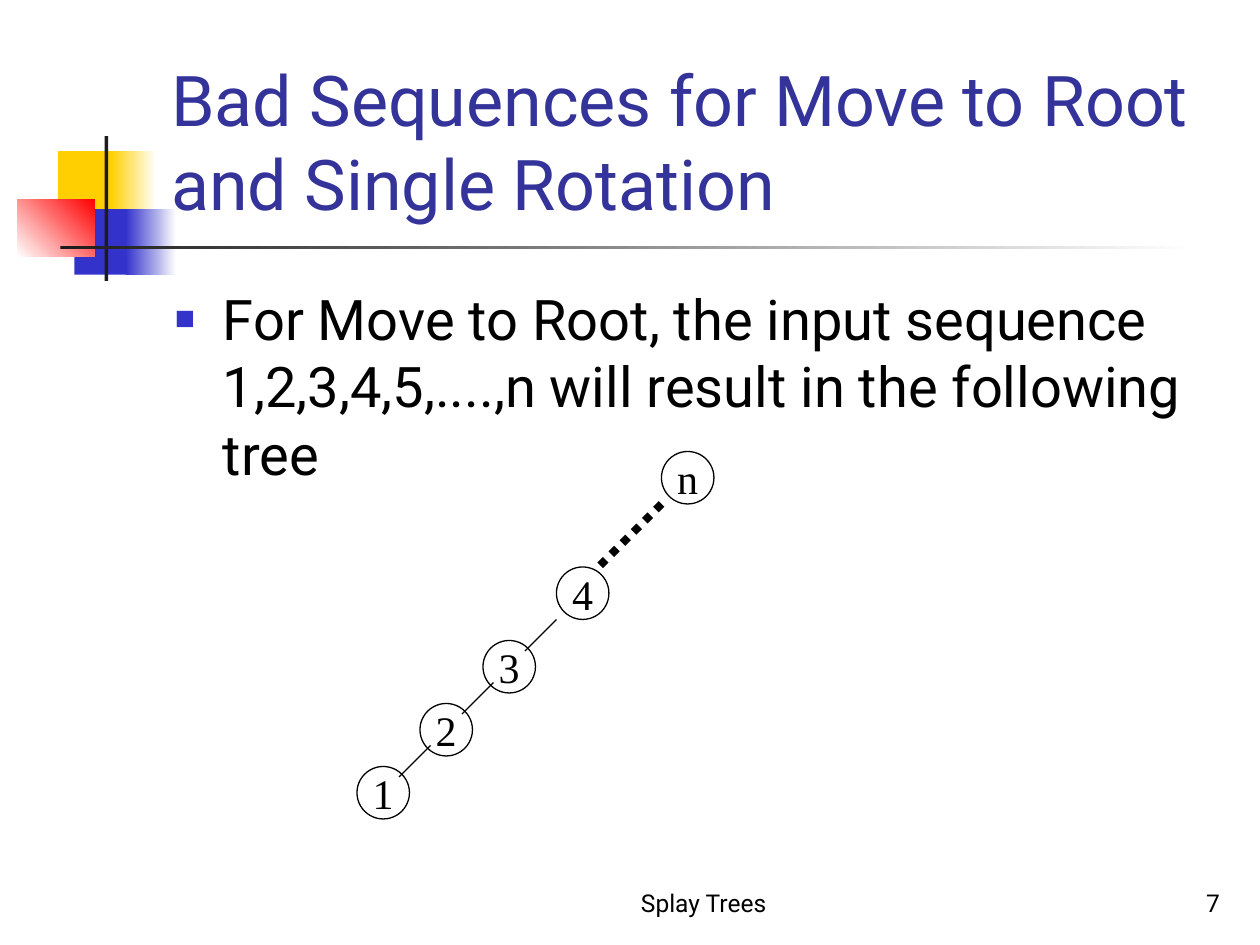
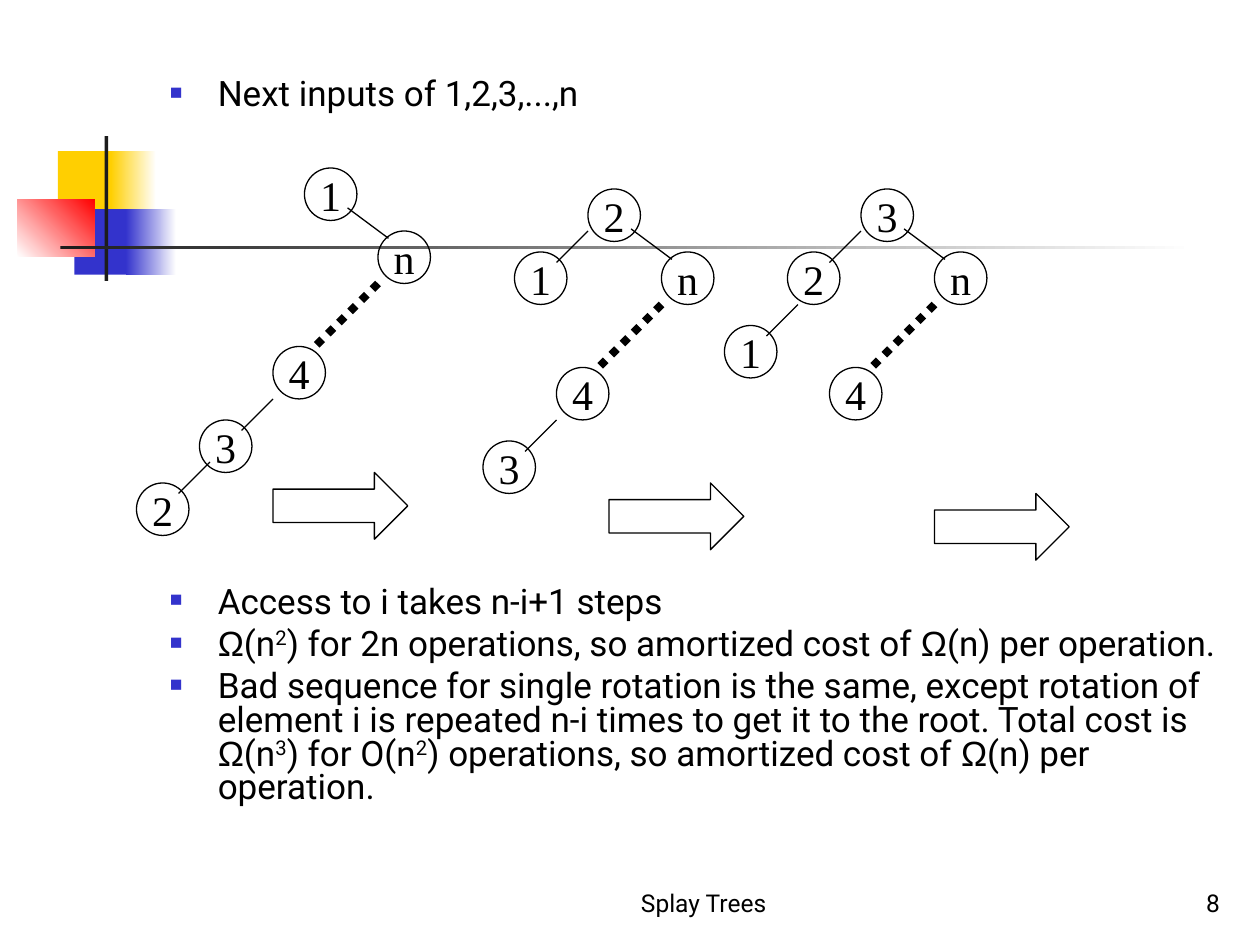
from pptx import Presentation
from pptx.dml.color import RGBColor
from pptx.enum.dml import MSO_LINE
from pptx.enum.shapes import MSO_CONNECTOR, MSO_SHAPE
from pptx.enum.text import MSO_ANCHOR, MSO_AUTO_SIZE, PP_ALIGN
from pptx.oxml.ns import qn
from pptx.util import Inches, Pt
from lxml import etree

RECT, OVAL, ARROW = MSO_SHAPE.RECTANGLE, MSO_SHAPE.OVAL, MSO_SHAPE.RIGHT_ARROW
LINE, DOT = MSO_CONNECTOR.STRAIGHT, MSO_LINE.ROUND_DOT
LEFT, MID, RIGHT = PP_ALIGN.LEFT, PP_ALIGN.CENTER, PP_ALIGN.RIGHT
LOW, HALF, TOP = MSO_ANCHOR.BOTTOM, MSO_ANCHOR.MIDDLE, MSO_ANCHOR.TOP
FIXED = MSO_AUTO_SIZE.NONE

# Content: a text is a list of runs, "^" marks a superscript.
# A tree has the place of node n, the path below n, and the path
# from the root (right child n) down to the left.
FOOT = "Splay Trees"
SLIDES = [
    {
        "num": 7,
        "title": "Bad Sequences for Move to Root and Single Rotation",
        "box": (1.29, 2.21, 8.5, 4.5),
        "style": "large",
        "text": [["For Move to Root, the input sequence 1,2,3,4,5,....,n "
                  "will result in the following tree"]],
        "gaps": {},
        "trees": [((63, 43), "4321", "")],
        "arrows": [],
    },
    {
        "num": 8,
        "title": None,
        "box": (1.25, 0.58, 8.75, 6.42),
        "style": "small",
        "text": [
            ["Next inputs of 1,2,3,...,n"],
            ["Access to i takes n-i+1 steps"],
            ["Ω", "(n", "^2", ") for 2n operations, so amortized cost of ",
             "Ω", "(n) per operation."],
            ["Bad sequence for single rotation is the same, except rotation "
             "of element i is repeated n-i times to get it to the root. "
             "Total cost is ", "Ω", "(n", "^3", ") for O(n", "^2",
             ") operations, so amortized cost of ", "Ω",
             "(n) per operation."],
        ],
        "gaps": {1: 271},  # room for the trees
        "trees": [((36, 22), "432", "1"), ((63, 24), "43", "21"),
                  ((89, 24), "4", "321")],
        "arrows": [(26, 45), (58, 46), (89, 47)],
    },
]

# Theme
THEME = {
    "black": "000000", "title": "333399", "blue": "3333CC", "gold": "FFCF01",
    "red": "FF0000", "dark": "1C1C1C", "white": "FFFFFF",
    "font": "Roboto", "greek": "Arial", "serif": "Times New Roman",
    "head": 40, "foot": 14, "node": 24, "thin": 0.75, "thick": 4.5,
    "large": {"size": 32, "gap": 8, "lead": 1.0},
    "small": {"size": 20, "gap": 5, "lead": 0.8},
}

# Band: place, first colour, second colour, angle
BAND = [
    ((0.46, 1.2, 0.48, 0.52), "gold", None, 0),
    ((0.88, 1.2, 0.36, 0.52), "gold", "white", 0),
    ((0.59, 1.66, 0.46, 0.52), "blue", None, 0),
    ((1, 1.66, 0.4, 0.52), "blue", "white", 0),
    ((0.14, 1.58, 0.61, 0.46), "white", "red", 45),
    ((0.83, 1.08, 0.03, 1.15), "dark", None, 0),
    ((0.48, 1.95, 9, 0.03), "dark", "white", 0),
]

# Tree grid: cells of a twelfth of an inch, offsets from node n
CELL = 1 / 12
NODE = 5
DOWN = [(-10, 11), (-17, 18), (-23, 24), (-29, 30)]
UP = [(-7, -6), (-14, 0), (-20, 7)]


def rgb(name):
    return RGBColor.from_string(THEME[name])


def put(obj, **vals):
    for key, val in vals.items():
        setattr(obj, key, val)


def add(pos, step):
    return pos[0] + step[0], pos[1] + step[1]


def write(para, text, size, face="font", tint="black"):
    run = para.add_run()
    run.text = text
    put(run.font, name=THEME[face], size=Pt(size))
    run.font.color.rgb = rgb(tint)
    return run


def frame(shape, anchor, wrap=True):
    put(shape.text_frame, word_wrap=wrap, auto_size=FIXED,
        vertical_anchor=anchor, margin_left=Inches(0.1),
        margin_right=Inches(0.1), margin_top=Inches(0.05),
        margin_bottom=Inches(0.05))
    return shape.text_frame


def box(slide, place, anchor):
    return frame(slide.shapes.add_textbox(*map(Inches, place)), anchor)


def form(slide, kind, place):
    shape = slide.shapes.add_shape(kind, *map(Inches, place))
    shape.shadow.inherit = False
    return shape


def ink(shape):
    shape.fill.background()
    shape.line.color.rgb = rgb("black")
    shape.line.width = Pt(THEME["thin"])


def bullet(para):
    props = para._p.get_or_add_pPr()
    put_at = {"marL": Inches(0.38), "indent": -Inches(0.38)}
    for key, val in put_at.items():
        props.set(key, str(val))
    tint = etree.SubElement(props, qn("a:buClr"))
    etree.SubElement(tint, qn("a:srgbClr"), val=THEME["blue"])
    etree.SubElement(props, qn("a:buSzPct"), val="60000")
    etree.SubElement(props, qn("a:buFont"), typeface=THEME["greek"])
    etree.SubElement(props, qn("a:buChar"), char="■")


def band(slide):
    for place, one, two, turn in BAND:
        shape = form(slide, RECT, place)
        shape.line.fill.background()
        if two is None:
            shape.fill.solid()
            shape.fill.fore_color.rgb = rgb(one)
            continue
        shape.fill.gradient()
        shape.fill.gradient_angle = turn
        for stop, name in zip(shape.fill.gradient_stops, (one, two)):
            stop.color.rgb = rgb(name)


def foot(slide, num):
    for left, wide, text, side in ((4, 3.17, FOOT, MID),
                                   (7.7, 2.08, str(num), RIGHT)):
        para = box(slide, (left, 6.83, wide, 0.5), LOW).paragraphs[0]
        para.alignment = side
        write(para, text, THEME["foot"])


def head(slide, text):
    shape = slide.shapes.title
    put(shape, left=Inches(1.26), top=Inches(0.23),
        width=Inches(8.52), height=Inches(1.6))
    para = frame(shape, LOW).paragraphs[0]
    para.alignment = LEFT
    write(para, text, THEME["head"], tint="title")


def body(slide, data):
    style = THEME[data["style"]]
    area = box(slide, data["box"], TOP)
    for i, runs in enumerate(data["text"]):
        para = area.paragraphs[0] if i == 0 else area.add_paragraph()
        bullet(para)
        para.line_spacing = style["lead"]
        if i:
            para.space_before = Pt(data["gaps"].get(i, style["gap"]))
        for text in runs:
            face = "greek" if text == "Ω" else "font"
            run = write(para, text.lstrip("^"), style["size"], face)
            if text.startswith("^"):
                run.font._element.set("baseline", "30000")


def node(slide, pos, label):
    shape = form(slide, OVAL, [v * CELL for v in (*pos, NODE, NODE)])
    ink(shape)
    para = frame(shape, HALF, False).paragraphs[0]
    para.alignment = MID
    write(para, label, THEME["node"], "serif")


def edge(slide, start, end, dots=False):
    line = slide.shapes.add_connector(
        LINE, *(Inches(v * CELL) for v in (*start, *end)))
    etree.SubElement(line._element.spPr, qn("a:effectLst"))
    line.line.color.rgb = rgb("black")
    line.line.width = Pt(THEME["thick" if dots else "thin"])
    if dots:
        line.line.dash_style = DOT


def tree(slide, spot, low, high):
    downs = [add(spot, step) for step, _ in zip(DOWN, low)]
    ups = [add(spot, step) for step, _ in zip(UP, high)]
    for pos, label in zip([spot, *downs, *ups], "n" + low + high):
        node(slide, pos, label)
    # Left children, then the right child n, then the dotted path
    for kid in downs[1:] + ups[1:]:
        end = add(kid, (4, 1))
        edge(slide, add(end, (3, -3)), end)
    if ups:
        edge(slide, add(spot, (1, 0.7)), add(spot, (-2.9, -2.2)))
    edge(slide, add(spot, (0, NODE)), add(downs[0], (4, 0)), True)


def main():
    deck = Presentation()
    put(deck, slide_width=Inches(10), slide_height=Inches(7.5))
    for data in SLIDES:
        slide = deck.slides.add_slide(
            deck.slide_layouts[5 if data["title"] else 6])
        band(slide)
        foot(slide, data["num"])
        if data["title"]:
            head(slide, data["title"])
        body(slide, data)
        for spec in data["trees"]:
            tree(slide, *spec)
        for col, row in data["arrows"]:
            ink(form(slide, ARROW, (col * CELL, row * CELL, 1.07, 0.53)))
    deck.save("out.pptx")


if __name__ == "__main__":
    main()
